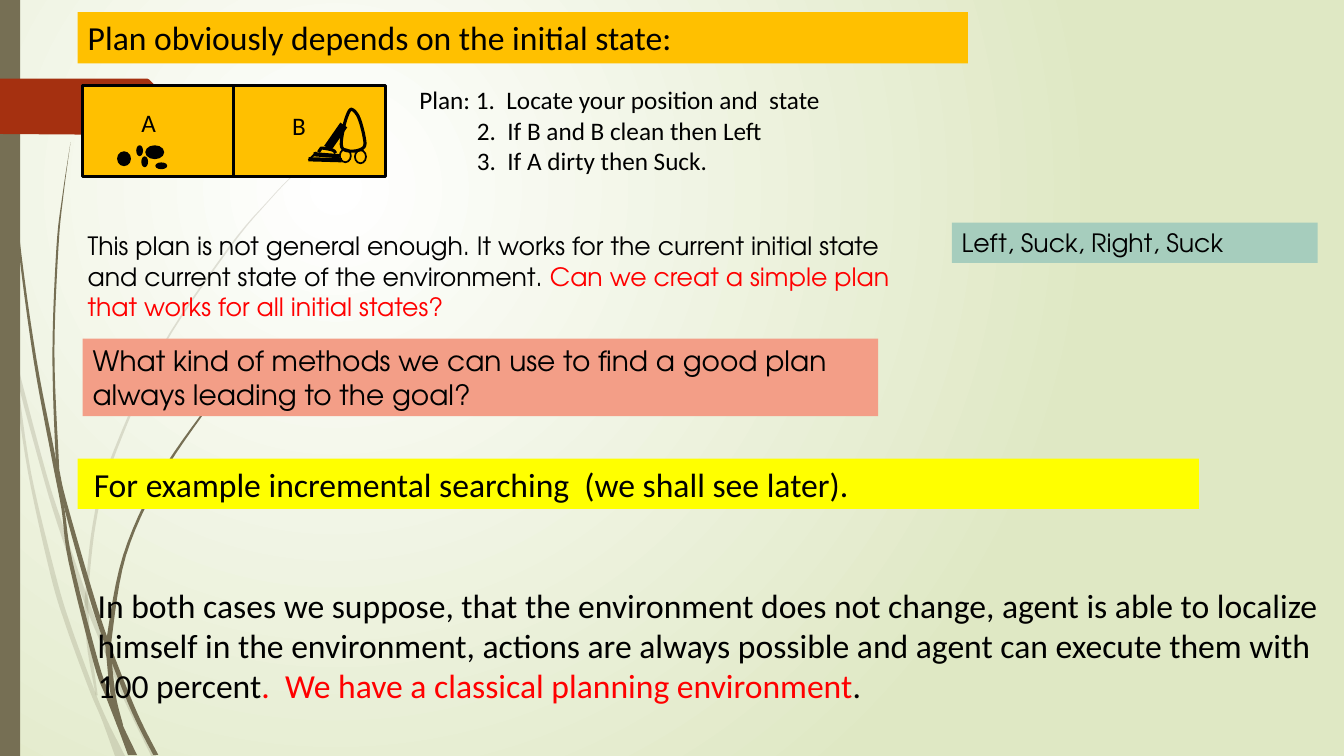
import pptx
import pptx.dml.color
import pptx.enum.shapes
import pptx.enum.text
import pptx.oxml.ns
import pptx.util
from lxml import etree

COLS, ROWS = 1333, 750
BLACK, RED, ORANGE, OLIVE = "000000", "FF0000", "FFC000", "766F54"
CALIBRI, ADVENTOR = "Calibri", "TeX Gyre Adventor"
SHAPE = pptx.enum.shapes.MSO_SHAPE

PALE_STEMS = [
    [(282, 0, 0), (299, 0, 4), (322, 5, 9), (350, 11, 12), (376, 14, 17), (470, 28, 31),
     (570, 50, 55), (620, 65, 70), (683, 88, 93), (714, 101, 106), (750, 114, 124)],
    [(345, 14, 14), (376, 17, 21), (470, 42, 46), (520, 57, 62), (596, 83, 88),
     (650, 105, 109), (692, 122, 127), (750, 150, 155)],
    [(153, 311, 312), (175, 289, 290), (197, 268, 269), (245, 227, 229), (348, 158, 160),
     (462, 107, 110), (520, 92, 95), (584, 85, 88), (610, 84, 88), (646, 87, 91), (690, 95, 97)],
]
DARK_STEMS = [
    [(0, 3, 4), (48, 4, 5), (110, 7, 8), (233, 17, 19), (355, 33, 36), (453, 51, 55),
     (505, 61, 64), (557, 68, 72), (658, 93, 98), (691, 105, 110), (722, 117, 123), (749, 127, 136)],
    [(141, 70, 70), (193, 62, 63), (245, 56, 58), (349, 52, 54), (450, 55, 58), (472, 58, 60),
     (505, 64, 68), (591, 88, 93), (642, 105, 110), (707, 131, 136), (749, 152, 157)],
    [(344, 260, 261), (374, 230, 231), (405, 204, 206), (475, 156, 159), (551, 122, 125),
     (632, 106, 111), (656, 106, 111), (691, 110, 115), (719, 116, 122)],
]
DIRT = [(136, 145, 5, 9), (141, 156, 5, 9), (145, 145, 17, 12), (155, 162, 10, 5), (117, 151, 12, 13)]
WHEELS = [(337, 148, 11, 13), (352, 149, 11, 13)]
CLEANER_BODY = [(339, 146), (341, 126), (346, 111), (350, 109), (356, 117),
                (361, 135), (361, 146), (350, 150)]
BRUSH = [(316, 151), (318, 148), (320, 147), (330, 149), (333, 152)]
CLEANER_RODS = [(341, 124, 325, 147, 6), (306, 158, 339, 159, 3),
                (311, 153, 337, 155, 3), (314, 151, 306, 159, 1.5)]


def rgb(value):
    return pptx.dml.color.RGBColor.from_string(value)


def smooth(points, closed=False, steps=6):
    if closed:
        knots = [points[-1], *points, points[0], points[1]]
    else:
        knots = [points[0], *points, points[-1]]
    curve = []
    for a, b, c, d in zip(knots, knots[1:], knots[2:], knots[3:]):
        for i in range(steps):
            t = i / steps
            curve.append(tuple(
                (2 * q + (r - p) * t + (2 * p - 5 * q + 4 * r - u) * t ** 2
                 + (3 * q - p - 3 * r + u) * t ** 3) / 2
                for p, q, r, u in zip(a, b, c, d)))
    return curve + [knots[-2]]


class Deck:
    def __init__(self):
        self.prs = pptx.Presentation()
        self.prs.slide_width = pptx.util.Inches(13.33)
        self.prs.slide_height = pptx.util.Inches(7.5)
        self.s = self.prs.slides.add_slide(self.prs.slide_layouts[1])

    def x(self, col):
        return round(self.prs.slide_width * col / COLS)

    def y(self, row):
        return round(self.prs.slide_height * row / ROWS)

    def box(self, col, row, cols, rows):
        return self.x(col), self.y(row), self.x(cols), self.y(rows)

    def background(self, inner, outer):
        fill = self.s.background.fill
        fill.gradient()
        for stop, colour in zip(fill.gradient_stops, (inner, outer)):
            stop.color.rgb = rgb(colour)
        qn = pptx.oxml.ns.qn
        grad = self.s.element.find(".//" + qn("a:gradFill"))
        grad.remove(grad.find(qn("a:lin")))
        circle = etree.SubElement(grad, qn("a:path"), {"path": "circle"})
        etree.SubElement(circle, qn("a:fillToRect"),
                         {"l": "50000", "t": "50000", "r": "100000", "b": "100000"})

    def paint(self, sp, fill=None, line=None, width=1.25, alpha=None):
        if fill:
            sp.fill.solid()
            sp.fill.fore_color.rgb = rgb(fill)
        else:
            sp.fill.background()
        if line:
            sp.line.color.rgb = rgb(line)
            sp.line.width = pptx.util.Pt(width)
        else:
            sp.line.fill.background()
        if alpha:
            colour = sp.element.spPr.find(".//" + pptx.oxml.ns.qn("a:srgbClr"))
            etree.SubElement(colour, pptx.oxml.ns.qn("a:alpha"), {"val": str(alpha * 1000)})

    def shape(self, kind, area, **style):
        sp = self.s.shapes.add_shape(kind, *self.box(*area))
        sp.shadow.inherit = False
        self.paint(sp, **style)

    def outline(self, points, closed=True, **style):
        spots = [(self.x(col), self.y(row)) for col, row in points]
        builder = self.s.shapes.build_freeform(*spots[0])
        builder.add_line_segments(spots[1:], close=closed)
        sp = builder.convert_to_shape()
        sp.shadow.inherit = False
        self.paint(sp, **style)

    def stem(self, knots, **style):
        left = smooth([(a, row) for row, a, b in knots])
        right = smooth([(b, row) for row, a, b in knots])
        self.outline(left + right[::-1], fill=OLIVE, **style)

    def rod(self, col, row, end_col, end_row, width):
        line = self.s.shapes.add_connector(
            pptx.enum.shapes.MSO_CONNECTOR.STRAIGHT,
            self.x(col), self.y(row), self.x(end_col), self.y(end_row))
        line.line.color.rgb = rgb(BLACK)
        line.line.width = pptx.util.Pt(width)
        etree.SubElement(line.element.spPr, pptx.oxml.ns.qn("a:effectLst"))

    def text(self, area, paragraphs, size, font=CALIBRI, fill=None, align="LEFT",
             inset=10, hang=0, holder=None):
        sp = self.s.shapes.add_textbox(0, 0, 0, 0) if holder is None else self.s.placeholders[holder]
        for name, value in zip(("left", "top", "width", "height"), self.box(*area)):
            setattr(sp, name, value)
        self.paint(sp, fill)
        tf = sp.text_frame
        frame = {"word_wrap": True, "margin_left": self.x(inset),
                 "auto_size": pptx.enum.text.MSO_AUTO_SIZE.NONE,
                 "vertical_anchor": pptx.enum.text.MSO_ANCHOR.TOP}
        for name, value in frame.items():
            setattr(tf, name, value)
        for i, runs in enumerate(paragraphs):
            p = tf.add_paragraph() if i else tf.paragraphs[0]
            p.alignment = getattr(pptx.enum.text.PP_ALIGN, align)
            p.space_before = pptx.util.Pt(0)
            pPr = p._p.get_or_add_pPr()
            pPr.set("marL", str(self.x(hang) if i else 0))
            pPr.set("indent", "0")
            etree.SubElement(pPr, pptx.oxml.ns.qn("a:buNone"))
            for words, colour in runs:
                r = p.add_run()
                r.text = words
                for name, value in {"name": font, "size": pptx.util.Pt(size)}.items():
                    setattr(r.font, name, value)
                r.font.color.rgb = rgb(colour)


def main():
    deck = Deck()
    deck.background("FFFFFF", "DFE8C4")
    for knots in PALE_STEMS:
        deck.stem(knots, alpha=20)
    for knots in DARK_STEMS:
        deck.stem(knots)
    deck.shape(SHAPE.RECTANGLE, (0, 0, 20, ROWS), fill=OLIVE)
    deck.outline([(0, 78), (146, 78), (148, 79), (173, 104), (174, 106), (173, 108),
                  (148, 133), (146, 134), (0, 133)], fill="A53010")

    deck.text((77, 12, 883, 51), [[("Plan obviously depends on the initial state:", BLACK)]],
              24, fill=ORANGE, holder=0)

    for i, room in enumerate("AB"):
        deck.shape(SHAPE.RECTANGLE, (82 + 150 * i, 85, 150, 90), fill=ORANGE, line=BLACK, width=2.25)
        deck.text((97 + 149 * i, 102 + 2 * i, 101, 41), [[(room, BLACK)]], 18, align="CENTER")
    for spot in DIRT:
        deck.shape(SHAPE.OVAL, spot, fill=BLACK, line=BLACK)
    deck.outline(smooth(CLEANER_BODY, closed=True), line=BLACK, width=2.25)
    for wheel in WHEELS:
        deck.shape(SHAPE.OVAL, wheel, line=BLACK)
    for rod in CLEANER_RODS:
        deck.rod(*rod)
    deck.outline(smooth(BRUSH), closed=False, line=BLACK, width=2.25)

    deck.text((406, 79, 479, 101), [[("Plan: 1.  Locate your position and  state", BLACK)],
                                    [("2.  If B and B clean then Left", BLACK)],
                                    [("3.  If A dirty then Suck.", BLACK)]], 18, hang=57, holder=1)
    deck.text((82, 336, 789, 77), [[("What kind of methods we can use to find a good plan "
                                     "always leading to the goal?", BLACK)]],
              20, ADVENTOR, fill="F39E87")
    deck.text((77, 455, 1112, 50),
              [[("For example incremental searching  (we shall see later).", BLACK)]],
              24, fill="FFFF00", inset=16)
    deck.text((87, 575, 1237, 131), [[
        ("In both cases we suppose, that the environment does not change, agent is able to "
         "localize himself in the environment, actions are always possible and agent can "
         "execute them with 100 percent", BLACK),
        (".  We have a classical planning environment", RED), (".", BLACK)]], 24)
    deck.text((77, 224, 845, 101), [[
        ("This plan is not general enough. It works for the current initial state and current "
         "state of the environment. ", BLACK),
        ("Can we creat a simple plan that works for all initial states?", RED)]], 18, ADVENTOR)
    deck.text((944, 221, 363, 40), [[("Left, Suck, Right, Suck", BLACK)]],
              18, ADVENTOR, fill="A6CDBD")
    deck.prs.save("out.pptx")


if __name__ == "__main__":
    main()
